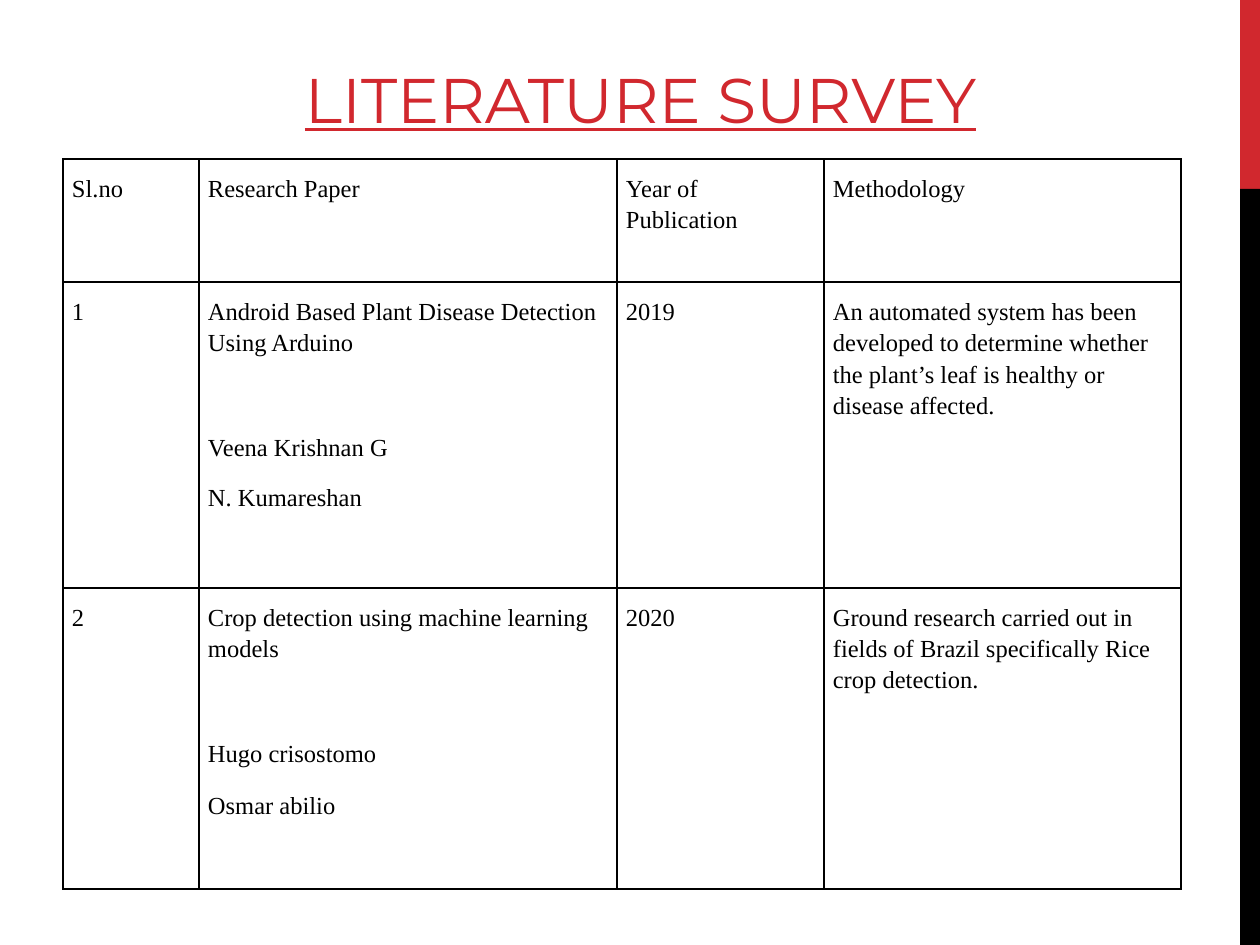
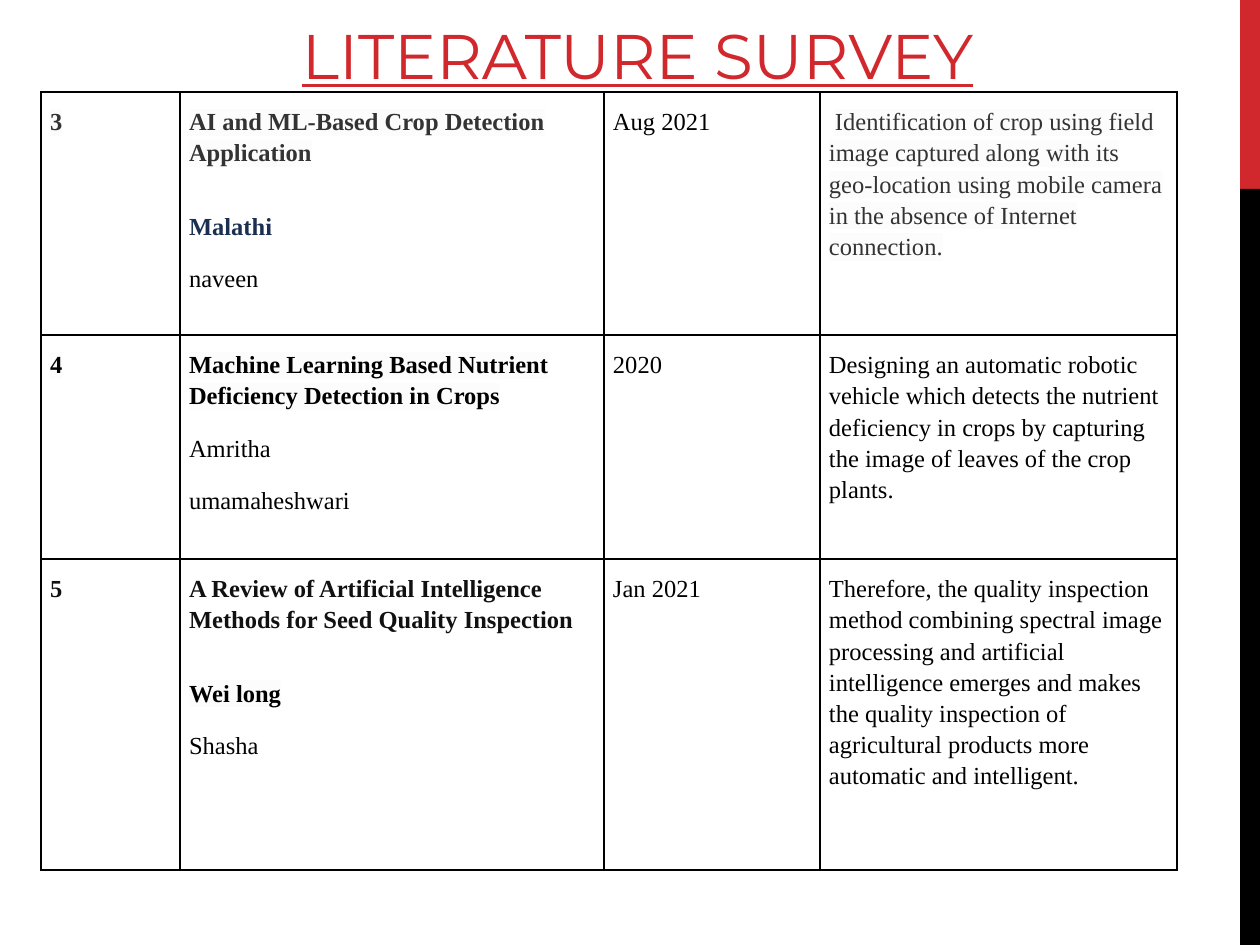
import pptx
import pptx.util
import pptx.dml.color
import pptx.enum.shapes
import pptx.enum.text
import pptx.oxml
import pptx.oxml.ns

PX = 914400 / 126
COLORS = {
    "red": "D1282E",
    "black": "000000",
    "gray": "333333",
    "navy": "1B3051",
    "ink": "111111",
    "mark": "FCFCFC",
}
PLAIN = {"color": "black", "bold": False}
BOLD = {"color": "black", "bold": True}
MARKED_BOLD = {**BOLD, "mark": True}
GRAY = {"color": "gray", "bold": False, "mark": True}
GRAY_BOLD = {**GRAY, "bold": True}
NAVY_BOLD = {**BOLD, "color": "navy"}
INK_BOLD = {**BOLD, "color": "ink"}

FIRST_PAPERS = [
    ["Sl.no", "Research Paper", "Year of Publication", "Methodology"],
    [
        "1",
        [
            ("Android Based Plant Disease Detection Using Arduino", PLAIN, 0),
            ("Veena Krishnan G", PLAIN, 42),
            ("N. Kumareshan", PLAIN, 11),
        ],
        "2019",
        "An automated system has been developed to determine whether the plant’s leaf "
        "is healthy or disease affected.",
    ],
    [
        "2",
        [
            ("Crop detection using machine learning models", PLAIN, 0),
            ("Hugo crisostomo", PLAIN, 42),
            ("Osmar abilio", PLAIN, 12),
        ],
        "2020",
        "Ground research carried out in fields of Brazil specifically Rice crop detection.",
    ],
]
LATER_PAPERS = [
    [
        [("3", GRAY_BOLD, 0)],
        [
            ("AI and ML-Based Crop Detection Application", GRAY_BOLD, 0),
            ("Malathi", NAVY_BOLD, 24),
            ("naveen", PLAIN, 12),
        ],
        "Aug 2021",
        [
            (
                "Identification of crop using field image captured along with its "
                "geo-location using mobile camera in the absence of Internet connection.",
                {**GRAY, "indent": 6},
                0,
            )
        ],
    ],
    [
        [("4", MARKED_BOLD, 0)],
        [
            ("Machine Learning Based Nutrient Deficiency Detection in Crops", MARKED_BOLD, 0),
            ("Amritha", PLAIN, 12),
            ("umamaheshwari", PLAIN, 12),
        ],
        "2020",
        "Designing an automatic robotic vehicle which detects the nutrient deficiency in "
        "crops by capturing the image of leaves of the crop plants.",
    ],
    [
        [("5", INK_BOLD, 0)],
        [
            ("A Review of Artificial Intelligence Methods for Seed Quality Inspection", INK_BOLD, 0),
            ("Wei long", MARKED_BOLD, 24),
            ("Shasha", PLAIN, 12),
        ],
        "Jan 2021",
        "Therefore, the quality inspection method combining spectral image processing and "
        "artificial intelligence emerges and makes the quality inspection of agricultural "
        "products more automatic and intelligent.",
    ],
]


def px(length):
    return pptx.util.Emu(round(length * PX))


def rgb(name):
    return pptx.dml.color.RGBColor.from_string(COLORS[name])


def set_all(target, values):
    for name, value in values.items():
        setattr(target, name, value)


def set_margins(target, left, top, right, bottom):
    margins = {"left": left, "top": top, "right": right, "bottom": bottom}
    set_all(target, {f"margin_{side}": px(size) for side, size in margins.items()})


def add_band(page, color, top, height):
    band = page.shapes.add_shape(
        pptx.enum.shapes.MSO_SHAPE.RECTANGLE, px(1240), px(top), px(20), px(height)
    )
    band.shadow.inherit = False
    band.fill.solid()
    band.fill.fore_color.rgb = rgb(color)
    band.line.fill.background()


def add_title(page, left, top, width):
    box = page.shapes.add_textbox(px(left), px(top), px(width), px(189))
    frame = box.text_frame
    set_all(frame, {"word_wrap": True, "vertical_anchor": pptx.enum.text.MSO_ANCHOR.BOTTOM})
    set_margins(frame, 13, 6, 13, 78)
    para = frame.paragraphs[0]
    para.alignment = pptx.enum.text.PP_ALIGN.CENTER
    span = para.add_run()
    span.text = "LITERATURE SURVEY"
    set_all(span.font, {"name": "Montserrat", "size": pptx.util.Pt(36), "underline": True})
    span.font.color.rgb = rgb("red")


def highlight(span):
    mark = pptx.oxml.parse_xml(
        f'<a:highlight {pptx.oxml.ns.nsdecls("a")}>'
        f'<a:srgbClr val="{COLORS["mark"]}"/></a:highlight>'
    )
    span.font._element.find(pptx.oxml.ns.qn("a:solidFill")).addnext(mark)


def add_border(cell):
    properties = cell._tc.get_or_add_tcPr()
    for side in "LRTB":
        properties.append(
            pptx.oxml.parse_xml(
                f'<a:ln{side} {pptx.oxml.ns.nsdecls("a")} w="12700"><a:solidFill>'
                f'<a:srgbClr val="{COLORS["black"]}"/></a:solidFill></a:ln{side}>'
            )
        )


def write_para(para, text, style, space):
    set_all(para, {"line_spacing": 1.15, "space_before": pptx.util.Pt(space)})
    if "indent" in style:
        para._p.get_or_add_pPr().set("indent", str(px(style["indent"])))
    span = para.add_run()
    span.text = text
    set_all(
        span.font,
        {"name": "Times New Roman", "size": pptx.util.Pt(14), "bold": style["bold"]},
    )
    span.font.color.rgb = rgb(style["color"])
    if style.get("mark"):
        highlight(span)


def fill_cell(cell, content):
    set_margins(cell, 9, 13, 9, 13)
    add_border(cell)
    cell.fill.background()
    if isinstance(content, str):
        content = [(content, PLAIN, 0)]
    frame = cell.text_frame
    for index, (text, style, space) in enumerate(content):
        para = frame.add_paragraph() if index else frame.paragraphs[0]
        write_para(para, text, style, space)


def add_papers(page, left, top, widths, heights, papers):
    table = page.shapes.add_table(
        len(heights), len(widths), px(left), px(top), px(sum(widths)), px(sum(heights))
    ).table
    set_all(table, {"first_row": False, "horz_banding": False})
    for column, width in zip(table.columns, widths):
        column.width = px(width)
    for row, height, contents in zip(table.rows, heights, papers):
        row.height = px(height)
        for cell, content in zip(row.cells, contents):
            fill_cell(cell, content)


def add_page(deck, title, table):
    page = deck.slides.add_slide(deck.slide_layouts[6])
    add_band(page, "red", 0, 189)
    add_band(page, "black", 189, 756)
    add_title(page, *title)
    add_papers(page, *table)


def main():
    deck = pptx.Presentation()
    set_all(deck, {"slide_width": px(1260), "slide_height": px(945)})
    add_page(
        deck,
        (63, 21, 1155),
        (63, 159, [136, 418, 207, 357], [123, 306, 301], FIRST_PAPERS),
    )
    add_page(
        deck,
        (52, -23, 1171),
        (41, 92, [139, 424, 216, 357], [243, 224, 311], LATER_PAPERS),
    )
    deck.save("out.pptx")


if __name__ == "__main__":
    main()
